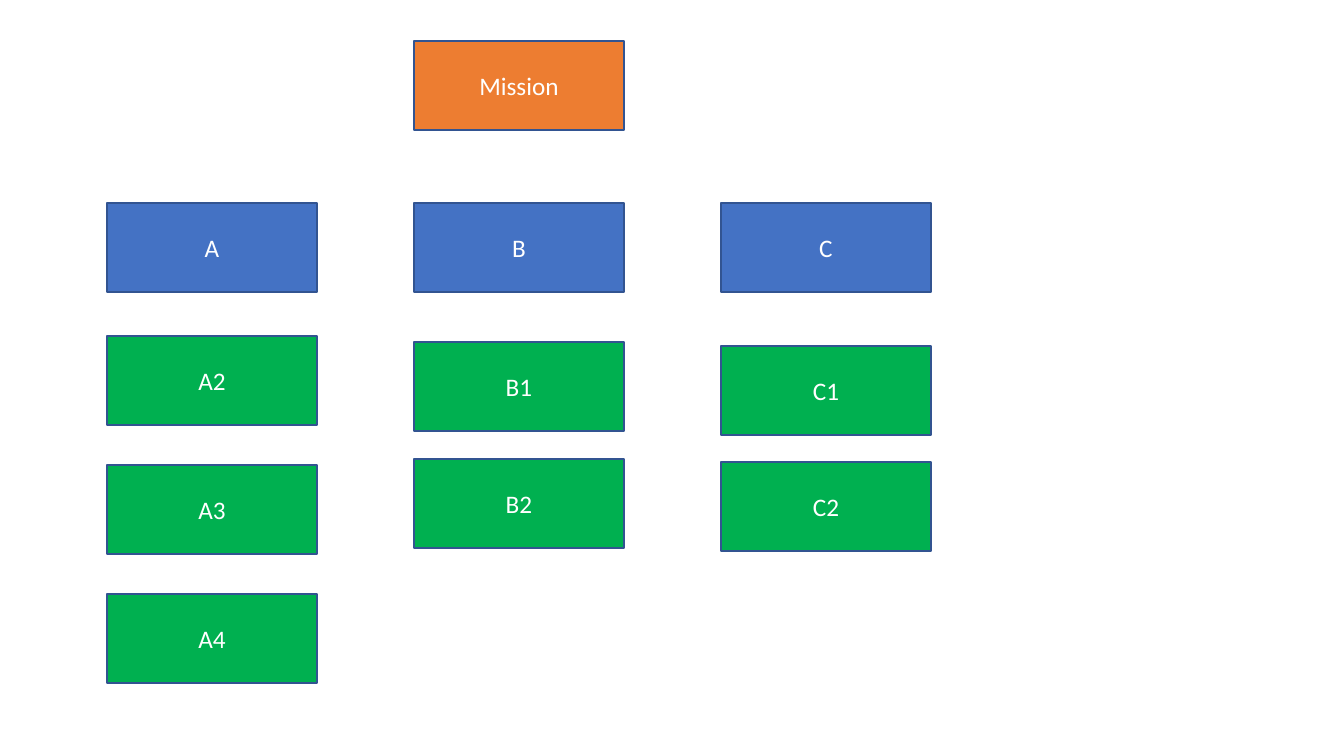
from dataclasses import dataclass

from pptx import Presentation
from pptx import util as u
from pptx.dml.color import RGBColor
from pptx.enum import shapes, text

MISSION = "Mission"
BRANCHES = [
    {"goal": "A", "tasks": ["A2", "A3", "A4"], "first_top": 336, "pitch": 129},
    {"goal": "B", "tasks": ["B1", "B2"], "first_top": 342, "pitch": 117},
    {"goal": "C", "tasks": ["C1", "C2"], "first_top": 346, "pitch": 116},
]


@dataclass(frozen=True)
class Theme:
    mission: str = "ED7D31"
    goal: str = "4472C4"
    task: str = "00B050"
    outline: str = "325491"
    label: str = "FFFFFF"
    font: str = "Calibri"
    size: int = 18
    outline_width: int = 1


THEME = Theme()
SLIDE_WIDTH, SLIDE_HEIGHT = 1344, 756
BOX_WIDTH, BOX_HEIGHT = 210, 89
FIRST_LEFT, COLUMN_PITCH = 107, 307
MISSION_TOP, GOAL_TOP = 41, 203
MISSION_COLUMN = 1


def px(length):
    return u.Emu(round(length * 914400 / 100.8))


def add_box(slide, label, column, top, fill):
    left = FIRST_LEFT + column * COLUMN_PITCH
    box = slide.shapes.add_shape(
        shapes.MSO_SHAPE.RECTANGLE, px(left), px(top), px(BOX_WIDTH), px(BOX_HEIGHT)
    )
    box.shadow.inherit = False
    box.fill.solid()
    box.fill.fore_color.rgb = RGBColor.from_string(fill)
    box.line.color.rgb = RGBColor.from_string(THEME.outline)
    box.line.width = u.Pt(THEME.outline_width)
    frame = box.text_frame
    frame.text = label
    frame.word_wrap = True
    frame.vertical_anchor = text.MSO_ANCHOR.MIDDLE
    paragraph = frame.paragraphs[0]
    paragraph.alignment = text.PP_ALIGN.CENTER
    paragraph.font.name = THEME.font
    paragraph.font.size = u.Pt(THEME.size)
    paragraph.font.color.rgb = RGBColor.from_string(THEME.label)


deck = Presentation()
deck.slide_width, deck.slide_height = px(SLIDE_WIDTH), px(SLIDE_HEIGHT)
slide = deck.slides.add_slide(deck.slide_layouts.get_by_name("Blank"))

add_box(slide, MISSION, MISSION_COLUMN, MISSION_TOP, THEME.mission)
for column, branch in enumerate(BRANCHES):
    add_box(slide, branch["goal"], column, GOAL_TOP, THEME.goal)
    for row, task in enumerate(branch["tasks"]):
        top = branch["first_top"] + row * branch["pitch"]
        add_box(slide, task, column, top, THEME.task)

deck.save("out.pptx")
